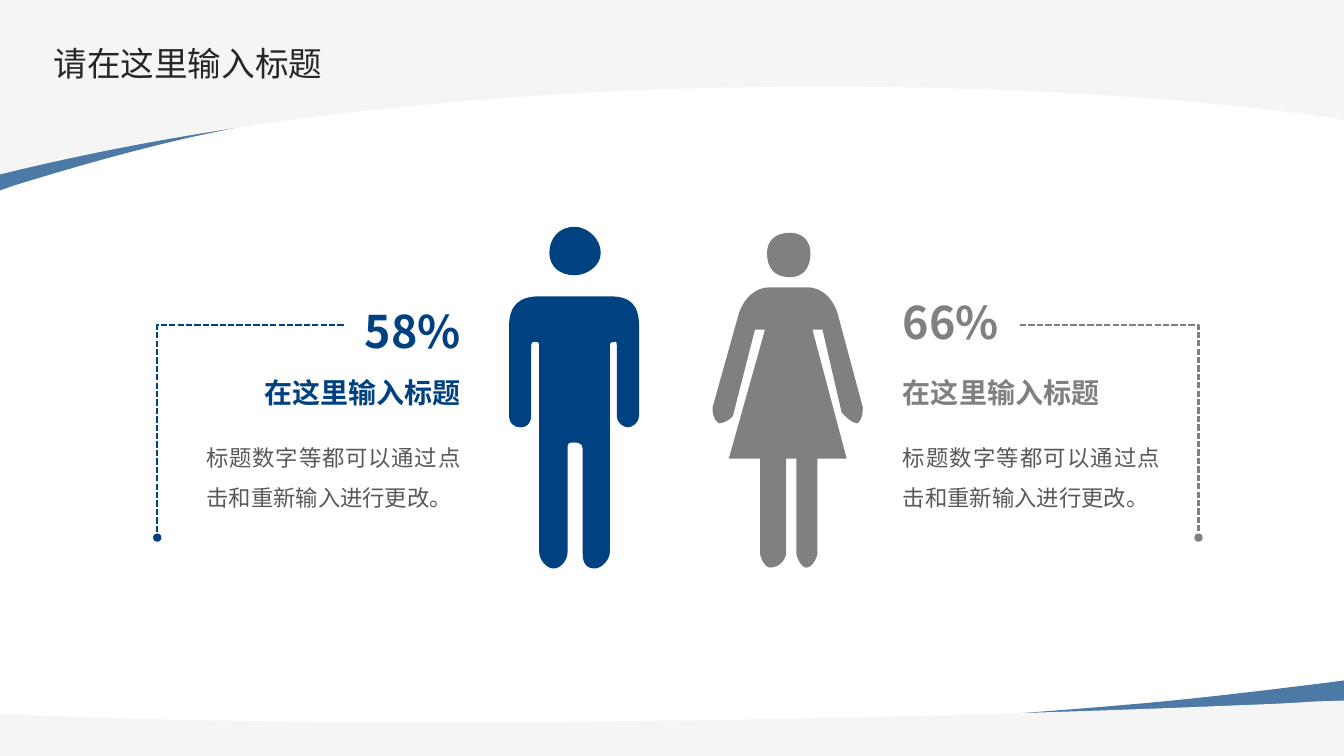
"""Build a slide comparing a man at 58% with a woman at 66%."""
import pptx
import pptx.dml.color
import pptx.enum.dml
import pptx.enum.text
import pptx.oxml
import pptx.oxml.ns
import pptx.util

Pt = pptx.util.Pt
ALIGN = pptx.enum.text.PP_ALIGN
ANCHOR = pptx.enum.text.MSO_ANCHOR
FONT = "Noto Sans CJK SC"
COLORS = {"blue": "004181", "gray": "808080", "pale": "F5F5F5", "title": "262626", "body": "595959"}
NAMESPACE = pptx.oxml.ns.nsdecls("a")

presentation = pptx.Presentation()
presentation.slide_width = Pt(960)
presentation.slide_height = Pt(540)
slide = presentation.slides.add_slide(presentation.slide_layouts[6])


def add_outline(segments, color, closed=True):
    """Draw an outline in points; two numbers make a line, six make a Bezier curve."""
    places = [(Pt(segment[-2]), Pt(segment[-1])) for segment in segments]
    builder = slide.shapes.build_freeform(*places[0])
    builder.add_line_segments(places[1:], close=closed)
    shape = builder.convert_to_shape()
    lines = list(shape._element.iter(pptx.oxml.ns.qn("a:lnTo")))
    for line, segment in zip(lines, segments[1:]):
        if len(segment) == 6:
            corners = "".join(
                f'<a:pt x="{Pt(x) - shape.left}" y="{Pt(y) - shape.top}"/>'
                for x, y in zip(segment[::2], segment[1::2])
            )
            curve = pptx.oxml.parse_xml(f"<a:cubicBezTo {NAMESPACE}>{corners}</a:cubicBezTo>")
            line.getparent().replace(line, curve)
    shape.shadow.inherit = False
    rgb = pptx.dml.color.RGBColor.from_string(COLORS[color])
    if closed:
        shape.fill.solid()
        shape.fill.fore_color.rgb = rgb
        shape.line.fill.background()
    else:
        shape.fill.background()
        shape.line.color.rgb = rgb
    return shape


def add_text(text, box, margins, frame_format, paragraph_format, size, color, bold=False):
    """Add a one-paragraph text box; box and margins are in points."""
    shape = slide.shapes.add_textbox(*[Pt(value) for value in box])
    frame = shape.text_frame
    for side, margin in zip(("left", "top", "right", "bottom"), margins):
        setattr(frame, f"margin_{side}", Pt(margin))
    for name, value in frame_format.items():
        setattr(frame, name, value)
    paragraph = frame.paragraphs[0]
    for name, value in paragraph_format.items():
        setattr(paragraph, name, value)
    run = paragraph.add_run()
    run.text = text
    for name, value in {"size": Pt(size), "bold": bold, "name": FONT}.items():
        setattr(run.font, name, value)
    run.font.color.rgb = pptx.dml.color.RGBColor.from_string(COLORS[color])
    east_asian = pptx.oxml.parse_xml(f'<a:ea {NAMESPACE} typeface="{FONT}"/>')
    run.font._element.find(pptx.oxml.ns.qn("a:latin")).addnext(east_asian)


top_ribbon = [
    (0, 136.1), (0, 15.8), (960, 15.8), (960, 65.5),
    (743, 4.3, 370.1, 48.2, 154.1, 94.3), (110.9, 103, 61.9, 116.6, 10.1, 132.5),
]
top_band = [(0, 0), (960, 0), (960, 85.7), (820.8, 62.6, 372.2, 32.4, 0, 124.6)]
bottom_ribbon = [
    (960, 486), (960, 535.7), (0, 535.7), (0, 514.8), (0.7, 515.5),
    (216.7, 540, 590.4, 522, 805.7, 503.3), (848.9, 499.7, 897.8, 493.9, 949.7, 487.4),
]
bottom_band = [
    (960, 500.4), (960, 540), (0, 540), (0, 509.8), (31.7, 511.2),
    (282.2, 521.3, 655.2, 513.4, 878.4, 504), (897.1, 503.3, 918, 502.6, 938.9, 501.1),
]
for ribbon, band in ((top_ribbon, top_band), (bottom_ribbon, bottom_band)):
    ribbon_shape = add_outline(ribbon, "blue")
    ribbon_color = ribbon_shape._element.spPr.find(".//" + pptx.oxml.ns.qn("a:srgbClr"))
    ribbon_color.append(pptx.oxml.parse_xml(f'<a:alpha {NAMESPACE} val="70000"/>'))
    add_outline(band, "pale")

man_body = [
    (435.6, 211.7), (385.2, 211.7), (370.8, 211.7, 363.6, 218.2, 363.6, 233.3),
    (363.6, 297.4), (363.6, 301.7, 366.5, 305.3, 372.2, 305.3),
    (376.6, 305.3, 379.4, 301.7, 379.4, 297.4), (379.4, 247),
    (379.4, 244.1, 381.6, 244.1, 381.6, 244.1), (383.8, 244.1, 385.2, 244.1, 385.2, 247),
    (385.2, 394.6), (385.2, 399.6, 390.2, 406.1, 395.3, 406.1),
    (401, 406.1, 405.4, 399.6, 405.4, 394.6), (405.4, 320.4),
    (405.4, 316.1, 406.1, 316.1, 410.4, 316.1), (411.8, 316.1, 416.2, 316.1, 416.2, 320.4),
    (416.2, 394.6), (416.2, 399.6, 416.9, 406.1, 424.8, 406.1),
    (429.8, 406.1, 435.6, 399.6, 435.6, 394.6), (435.6, 247),
    (435.6, 244.1, 437.8, 244.1, 439.9, 244.1), (439.9, 244.1, 440.6, 244.1, 440.6, 247),
    (440.6, 297.4), (440.6, 301.7, 445, 305.3, 448.6, 305.3),
    (451.4, 305.3, 456.5, 301.7, 456.5, 297.4), (456.5, 233.3),
    (456.5, 218.2, 450.7, 211.7, 435.6, 211.7),
]
man_head = [
    (410.4, 162), (399.6, 162, 392.4, 169.9, 392.4, 180.7),
    (392.4, 190.1, 399.6, 196.6, 410.4, 196.6), (419, 196.6, 429.1, 190.1, 429.1, 180.7),
    (429.1, 169.9, 419, 162, 410.4, 162),
]
woman_body = [
    (616.3, 290.9), (598.3, 223.9), (594.7, 213.1, 587.5, 205.2, 576, 205.2), (550.1, 205.2),
    (539.3, 205.2, 531.4, 213.1, 527.8, 223.9), (509, 290.9),
    (509, 294.5, 509, 298.8, 513.4, 302.4), (517, 302.4, 524.2, 298.8, 524.2, 294.5),
    (539.3, 235.4), (546.5, 235.4), (520.6, 327.6), (542.9, 327.6), (542.9, 394.6),
    (542.9, 398.2, 546.5, 405.4, 550.1, 405.4), (558, 405.4, 561.6, 398.2, 561.6, 394.6),
    (561.6, 327.6), (568.8, 327.6), (568.8, 394.6),
    (568.8, 398.2, 572.4, 405.4, 576, 405.4), (580.3, 405.4, 583.9, 398.2, 583.9, 394.6),
    (583.9, 327.6), (604.8, 327.6), (580.3, 235.4), (587.5, 235.4), (601.2, 294.5),
    (604.8, 298.8, 609.1, 302.4, 612.7, 302.4), (616.3, 298.8, 616.3, 294.5, 616.3, 290.9),
]
woman_head = [
    (564.5, 198), (573.1, 198, 578.9, 192.2, 578.9, 180.7),
    (578.9, 172.1, 573.1, 166.3, 564.5, 166.3), (553.7, 166.3, 547.9, 172.1, 547.9, 180.7),
    (547.9, 192.2, 553.7, 198, 564.5, 198),
]
for outline, color in ((man_body, "blue"), (man_head, "blue"), (woman_body, "gray"), (woman_head, "gray")):
    add_outline(outline, color)

add_text("请在这里输入标题", (38.2, 28.1, 864, 41.8), (0, 5.8, 5.8, 5.8),
         {"word_wrap": False}, {"line_spacing": 0.9}, 24, "title")

label_frame = {"word_wrap": False, "auto_size": pptx.enum.text.MSO_AUTO_SIZE.SHAPE_TO_FIT_TEXT}
body_frame = {**label_frame, "word_wrap": True}
sides = [
    ("58%", "blue", ALIGN.RIGHT, 336.2, 1, 207.4, 195.8, [(245.5, 232.2), (112.3, 232.2), (112.3, 384)]),
    ("66%", "gray", ALIGN.LEFT, 637.9, 0, 200.9, 198, [(728.6, 232.2), (856.1, 232.2), (856.1, 384)]),
]
for percent, color, align, edge, shift, percent_top, body_width, bracket in sides:
    add_text(percent, (edge - shift * 84.2, percent_top, 84.2, 58.3), (7.2, 9.4, 7.2, 9.4),
             label_frame, {"alignment": align}, 32, color, True)
    add_text("在这里输入标题", (edge - shift * 155.5, 272.9, 155.5, 23.8), (7.2, 3.6, 7.2, 3.6),
             {**label_frame, "vertical_anchor": ANCHOR.MIDDLE},
             {"alignment": align, "line_spacing": Pt(15)}, 20, color, True)
    add_text("标题数字等都可以通过点击和重新输入进行更改。",
             (edge - shift * body_width, 303.8, body_width, 62.6), (7.2, 3.6, 7.2, 3.6),
             body_frame, {"alignment": ALIGN.JUSTIFY, "line_spacing": 1.5}, 16, "body")
    bracket_line = add_outline(bracket, color, closed=False).line
    bracket_line.width = Pt(1.5)
    bracket_line.dash_style = pptx.enum.dml.MSO_LINE.SQUARE_DOT
    bracket_line._get_or_add_ln().append(pptx.oxml.parse_xml(f'<a:tailEnd {NAMESPACE} type="oval"/>'))

presentation.save("out.pptx")
